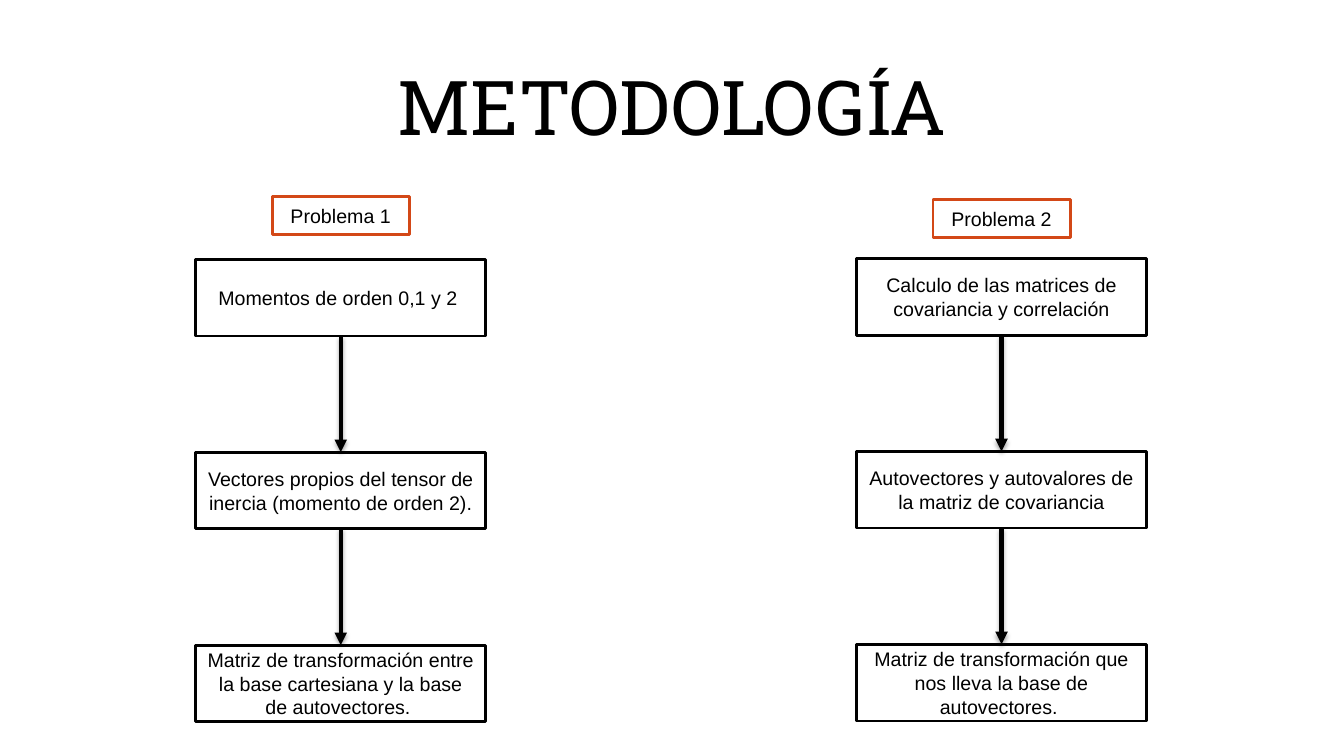
from dataclasses import dataclass
from itertools import pairwise

from lxml.etree import SubElement as Sub
from pptx import Presentation
from pptx.dml.color import RGBColor as Color
from pptx.enum.shapes import MSO_CONNECTOR as Link, MSO_SHAPE as Kind
from pptx.enum.text import MSO_ANCHOR as Anchor, PP_ALIGN as Align
from pptx.oxml.ns import qn
from pptx.shapes.autoshape import Shape
from pptx.slide import Slide
from pptx.util import Pt


@dataclass(frozen=True)
class Theme:
    ink: Color = Color(0, 0, 0)
    paper: Color = Color(255, 255, 255)
    accent: Color = Color(0xD3, 0x48, 0x17)
    head_font: str = "Roboto Slab"
    body_font: str = "Arial"
    head_size: float = 54
    body_size: float = 14
    edge: float = 2
    arrow: float = 3


@dataclass(frozen=True)
class Box:
    left: float
    top: float
    width: float
    height: float

    @property
    def rect(self) -> tuple[Pt, Pt, Pt, Pt]:
        return Pt(self.left), Pt(self.top), Pt(self.width), Pt(self.height)


@dataclass(frozen=True)
class Flow:
    name: str
    mid: float
    tag_top: float
    top: float
    steps: tuple[str, ...]


THEME = Theme()
STEP_W, STEP_H, PITCH = 207.4, 54.8, 137.8
TAG_W, TAG_H = 98, 26.8
INSET = 7.2
FRAME = {"word_wrap": True, "vertical_anchor": Anchor.MIDDLE}
PAD = {f"margin_{side}": Pt(INSET) for side in ("left", "top", "right", "bottom")}
HEAD = {"name": THEME.head_font, "size": Pt(THEME.head_size)}
BODY = {"name": THEME.body_font, "size": Pt(THEME.body_size)}
SHADE = {"blurRad": Pt(3.1), "dist": Pt(1.8), "dir": 90 * 60000, "rotWithShape": 0}

FLOWS = (
    Flow("Problema 1", 243.4, 140.6, 185.2, (
        "Momentos de orden 0,1 y 2 ",
        "Vectores propios del tensor de inercia (momento de orden 2).",
        "Matriz de transformación entre la base cartesiana y la base de autovectores. ",
    )),
    Flow("Problema 2", 715.4, 142.6, 184.6, (
        "Calculo de las matrices de covariancia y correlación",
        "Autovectores y autovalores de la matriz de covariancia",
        "Matriz de transformación que nos lleva la base de autovectores. ",
    )),
)


def apply(target: object, values: dict) -> None:
    for key, value in values.items():
        setattr(target, key, value)


def write(shape: Shape, text: str, font: dict, frame: dict, space: float = 1) -> None:
    body = shape.text_frame
    apply(body, frame)
    para = body.paragraphs[0]
    apply(para, {"text": text, "alignment": Align.CENTER, "line_spacing": space})
    apply(para.font, font)
    para.font.color.rgb = THEME.ink


def add_box(slide: Slide, box: Box, text: str, edge: Color, frame: dict) -> None:
    shape = slide.shapes.add_shape(Kind.RECTANGLE, *box.rect)
    shape.shadow.inherit = False
    shape.fill.solid()
    shape.fill.fore_color.rgb = THEME.paper
    shape.line.color.rgb = edge
    shape.line.width = Pt(THEME.edge)
    write(shape, text, BODY, frame)


def add_arrow(slide: Slide, x: float, start: float, end: float) -> None:
    """Draw a downward arrow with a soft shadow."""
    arrow = slide.shapes.add_connector(Link.STRAIGHT, Pt(x), Pt(start), Pt(x), Pt(end))
    arrow.line.color.rgb = THEME.ink
    arrow.line.width = Pt(THEME.arrow)
    props = arrow.line.color and arrow.line._get_or_add_ln()
    Sub(props, qn("a:tailEnd"), type="triangle")
    effects = Sub(props.getparent(), qn("a:effectLst"))
    shade = Sub(effects, qn("a:outerShdw"), {key: str(val) for key, val in SHADE.items()})
    tint = Sub(shade, qn("a:srgbClr"), val=str(THEME.ink))
    Sub(tint, qn("a:alpha"), val="35000")


def add_flow(slide: Slide, flow: Flow) -> None:
    """Draw one column: its steps, the arrows between them and its tag."""
    left = flow.mid - STEP_W / 2
    tops = [flow.top + PITCH * row for row in range(len(flow.steps))]
    for top, step in zip(tops, flow.steps):
        add_box(slide, Box(left, top, STEP_W, STEP_H), step, THEME.ink, FRAME | PAD)
    for top, below in pairwise(tops):
        add_arrow(slide, flow.mid, top + STEP_H, below)
    tag = Box(flow.mid - TAG_W / 2, flow.tag_top, TAG_W, TAG_H)
    add_box(slide, tag, flow.name, THEME.accent, FRAME)


def main() -> None:
    deck = Presentation()
    apply(deck, {"slide_width": Pt(960), "slide_height": Pt(540)})
    slide = deck.slides.add_slide(deck.slide_layouts[6])
    title = slide.shapes.add_textbox(*Box(84, 38.2, 792, 82.8).rect)
    write(title, "METODOLOGÍA", HEAD, FRAME, 0.9)
    for flow in FLOWS:
        add_flow(slide, flow)
    deck.save("out.pptx")


if __name__ == "__main__":
    main()
